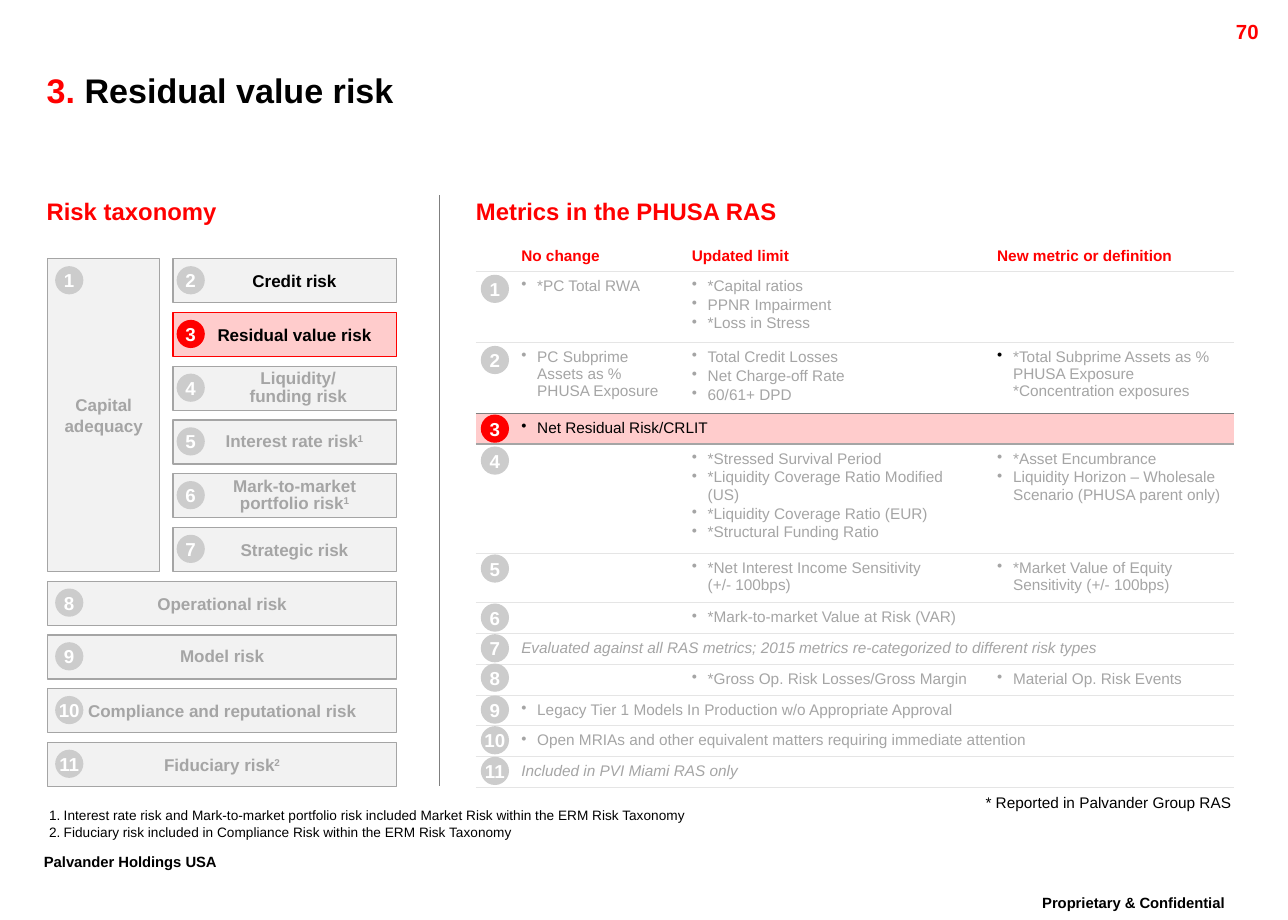
"""Build the residual value risk slide: risk taxonomy beside a table of metrics."""
from lxml.etree import SubElement
from pptx import Presentation
from pptx.dml.color import RGBColor
from pptx.enum.shapes import MSO_CONNECTOR, MSO_SHAPE
from pptx.enum.text import MSO_ANCHOR, PP_ALIGN
from pptx.oxml.ns import qn
from pptx.util import Inches, Pt

RED, BLACK, WHITE, GREY = "FF0000", "000000", "FFFFFF", "A5A5A5"
PALE, PINK, DISC, RULE, DARK = "F2F2F2", "FFCCCC", "CCCCCC", "E5E5E5", "7F7F7F"
LEFT, CENTER, RIGHT = PP_ALIGN.LEFT, PP_ALIGN.CENTER, PP_ALIGN.RIGHT
rgb = RGBColor.from_string


def write(tf, text, size, color, bold=False, align=LEFT, spacing=None, margins=(0, 0, 0, 0)):
    """Fill a text frame; a caret marks the superscript at the end of a paragraph."""
    tf.word_wrap = True
    tf.margin_left, tf.margin_top, tf.margin_right, tf.margin_bottom = map(Inches, margins)
    tf.text = text
    for p in tf.paragraphs:
        label, _, mark = p.text.partition("^")
        if mark:
            p.text = label
            r = p.add_run()
            r.text = mark
            r._r.get_or_add_rPr().set("baseline", "30000")
        p.alignment = align
        if spacing:
            p.line_spacing = spacing
        for r in p.runs:
            r.font.name, r.font.size, r.font.bold = "Arial", Pt(size), bold
            r.font.color.rgb = rgb(color)


def bullet(p, indent, tag, **attrs):
    """Give a paragraph a hanging bullet or number."""
    pPr = p._p.get_or_add_pPr()
    pPr.set("marL", str(Inches(indent)))
    pPr.set("indent", str(-Inches(indent)))
    SubElement(pPr, qn(tag), **attrs)


prs = Presentation()
prs.slide_width, prs.slide_height = Inches(10.5), Inches(7.5)
s = prs.slides.add_slide(prs.slide_layouts[5])

title = s.shapes.title
title.left, title.top, title.width, title.height = map(Inches, (0.38, 0.49, 9.48, 0.48))
tf = title.text_frame
write(tf, "3. ", 20, RED, True)
tf.vertical_anchor = MSO_ANCHOR.MIDDLE
r = tf.paragraphs[0].add_run()
r.text = "Residual value risk"
r.font.name, r.font.size, r.font.bold = "Arial", Pt(20), True
r.font.color.rgb = rgb(BLACK)

pad = (0.1, 0.05, 0.1, 0.05)
for x, y, w, h, text, size, color, bold, align, spacing, margins in [
    (9.36, 0.11, 1, 0.24, "70", 12, RED, True, RIGHT, None, pad),
    (0.38, 1.6, 2.98, 0.24, "Risk taxonomy", 14, RED, True, LEFT, None, (0, 0, 0, 0)),
    (3.88, 1.6, 5.69, 0.24, "Metrics in the PHUSA RAS", 14, RED, True, LEFT, None, (0, 0, 0, 0)),
    (8.02, 6.49, 2.03, 0.13, "* Reported in Palvander Group RAS", 9, BLACK, False, CENTER, 0.86, (0, 0, 0, 0)),
    (0.26, 6.91, 1.91, 0.35, "^Palvander Holdings USA", 15, BLACK, True, LEFT, 0.86, pad),
    (8.15, 7.25, 2.18, 0.35, "^Proprietary & Confidential", 15, BLACK, True, CENTER, 0.86, pad),
]:
    sp = s.shapes.add_textbox(Inches(x), Inches(y), Inches(w), Inches(h))
    write(sp.text_frame, text, size, color, bold, align, spacing, margins)

notes = s.shapes.add_textbox(Inches(0.4), Inches(6.58), Inches(5.47), Inches(0.27))
write(notes.text_frame,
      "Interest rate risk and Mark-to-market portfolio risk included Market Risk within the ERM Risk Taxonomy\n"
      "Fiduciary risk included in Compliance Risk within the ERM Risk Taxonomy", 8, BLACK)
for p in notes.text_frame.paragraphs:
    bullet(p, 0.12, "a:buAutoNum", type="arabicPeriod")

top, pitch, box_h = 2.11, 0.438, 0.36
boxes = [(0.39, top, 0.91, 2.55, "Capital adequacy", None, 0.04, 0.04)]
risks = [
    ("Credit risk", None, 0.2, 0.04),
    ("Residual value risk", None, 0.2, 0.04),
    ("Liquidity/\vfunding risk", 0.86, 0.32, 0.1),
    ("Interest rate risk^1", 0.86, 0.2, 0.04),
    ("Mark-to-market\vportfolio risk^1", 0.86, 0.26, 0.1),
    ("Strategic risk", None, 0.2, 0.04),
    ("Operational risk", None, 0.04, 0.04),
    ("Model risk", 0.86, 0.04, 0.04),
    ("Compliance and reputational risk", None, 0.04, 0.04),
    ("Fiduciary risk^2", None, 0.04, 0.04),
]
for i, risk in enumerate(risks):
    x, w = (1.41, 1.82) if i < 6 else (0.39, 2.84)
    boxes.append((x, top + i * pitch, w, box_h, *risk))

discs = []
for num, (x, y, w, h, text, spacing, ml, mr) in enumerate(boxes, 1):
    sp = s.shapes.add_shape(MSO_SHAPE.RECTANGLE, Inches(x), Inches(y), Inches(w), Inches(h))
    sp.shadow.inherit = False
    sp.fill.solid()
    sp.fill.fore_color.rgb = rgb(PINK if num == 3 else PALE)
    sp.line.color.rgb = rgb(RED if num == 3 else GREY)
    sp.line.width = Pt(0.75)
    sp.text_frame.vertical_anchor = MSO_ANCHOR.MIDDLE
    write(sp.text_frame, text, 10, BLACK if num in (2, 3) else GREY, True, CENTER, spacing, (ml, 0.04, mr, 0.04))
    discs.append((num, x + (0.03 if 2 <= num <= 7 else 0.06), y + 0.06))

col_widths = [0.32, 1.39, 2.49, 1.98]
rows = [
    (0.24, "No change", "Updated limit", "New metric or definition"),
    (0.55, "*PC Total RWA", "*Capital ratios\nPPNR Impairment\n*Loss in Stress", ""),
    (0.55, "PC Subprime Assets as % PHUSA Exposure", "Total Credit Losses\nNet Charge-off Rate\n60/61+ DPD",
     "*Total Subprime Assets as % PHUSA Exposure *Concentration exposures"),
    (0.24, "Net Residual Risk/CRLIT"),
    (0.84, "", "*Stressed Survival Period\n*Liquidity Coverage Ratio Modified (US)\n"
     "*Liquidity Coverage Ratio (EUR)\n*Structural Funding Ratio",
     "*Asset Encumbrance\nLiquidity Horizon – Wholesale Scenario (PHUSA parent only)"),
    (0.38, "", "*Net Interest Income Sensitivity\v(+/- 100bps)", "*Market Value of Equity Sensitivity (+/- 100bps)"),
    (0.24, "", "*Mark-to-market Value at Risk (VAR)", ""),
    (0.24, "Evaluated against all RAS metrics; 2015 metrics re-categorized to different risk types"),
    (0.24, "", "*Gross Op. Risk Losses/Gross Margin", "Material Op. Risk Events"),
    (0.24, "Legacy Tier 1 Models In Production w/o Appropriate Approval"),
    (0.24, "Open MRIAs and other equivalent matters requiring immediate attention"),
    (0.24, "Included in PVI Miami RAS only"),
]
frame = s.shapes.add_table(len(rows), 4, Inches(3.88), Inches(1.96), Inches(6.18), Inches(4.24))
tbl = frame.table
tbl.first_row = tbl.horz_banding = False
for col, w in zip(tbl.columns, col_widths):
    col.width = Inches(w)
rules = [None] + [{2: DARK, 3: GREY}.get(i, RULE) for i in range(len(rows))]
for i, (height, *texts) in enumerate(rows):
    tbl.rows[i].height = Inches(height)
    if len(texts) == 1:
        tbl.cell(i, 1).merge(tbl.cell(i, 3))
    texts = [""] + texts + [""] * (3 - len(texts))
    for j, text in enumerate(texts):
        cell = tbl.cell(i, j)
        cell.margin_left = cell.margin_top = cell.margin_bottom = Inches(0.05)
        cell.margin_right = Inches(0.11)
        tcPr = cell._tc.get_or_add_tcPr()
        for tag, color in (("a:lnL", None), ("a:lnR", None), ("a:lnT", rules[i]), ("a:lnB", rules[i + 1])):
            ln = SubElement(tcPr, qn(tag), w=str(Pt(0.75)))
            if color:
                SubElement(SubElement(ln, qn("a:solidFill")), qn("a:srgbClr"), val=color)
            else:
                SubElement(ln, qn("a:noFill"))
        if i == 3:
            cell.fill.solid()
            cell.fill.fore_color.rgb = rgb(PINK)
        else:
            cell.fill.background()
        cell.vertical_anchor = MSO_ANCHOR.TOP if i else MSO_ANCHOR.MIDDLE
        cell.text_frame.text = text
        for k, p in enumerate(cell.text_frame.paragraphs):
            if not text:
                p._p.get_or_add_endParaRPr().set("sz", "900")
            elif i not in (0, 7, 11):
                if (i, j) == (2, 3):
                    buClr = SubElement(p._p.get_or_add_pPr(), qn("a:buClr"))
                    SubElement(buClr, qn("a:srgbClr"), val=BLACK)
                bullet(p, 0.13, "a:buChar", char="•")
            if k:
                p.space_before = Pt(1)
            for r in p.runs:
                r.font.name, r.font.size, r.font.bold = "Arial", Pt(9), i == 0
                r.font.italic = i in (7, 11)
                r.font.color.rgb = rgb({0: RED, 3: BLACK}.get(i, GREY))

row_tops = [2.24, 2.82, 3.38, 3.64, 4.52, 4.92, 5.17, 5.41, 5.67, 5.92, 6.17]
discs += [(num, 3.92, y) for num, y in enumerate(row_tops, 1)]
for num, x, y in discs:
    sp = s.shapes.add_shape(MSO_SHAPE.OVAL, Inches(x), Inches(y), Inches(0.23), Inches(0.23))
    sp.shadow.inherit = False
    sp.fill.solid()
    sp.fill.fore_color.rgb = rgb(RED if num == 3 else DISC)
    sp.line.fill.background()
    sp.text_frame.vertical_anchor = MSO_ANCHOR.MIDDLE
    write(sp.text_frame, str(num), 11, WHITE, True, CENTER)
    sp.text_frame.word_wrap = False

divider = s.shapes.add_connector(MSO_CONNECTOR.STRAIGHT, Inches(3.58), Inches(1.59), Inches(3.58), Inches(6.41))
divider.line.color.rgb = rgb(DARK)
divider.line.width = Pt(0.75)
SubElement(divider._element.spPr, qn("a:effectLst"))

prs.save("out.pptx")
